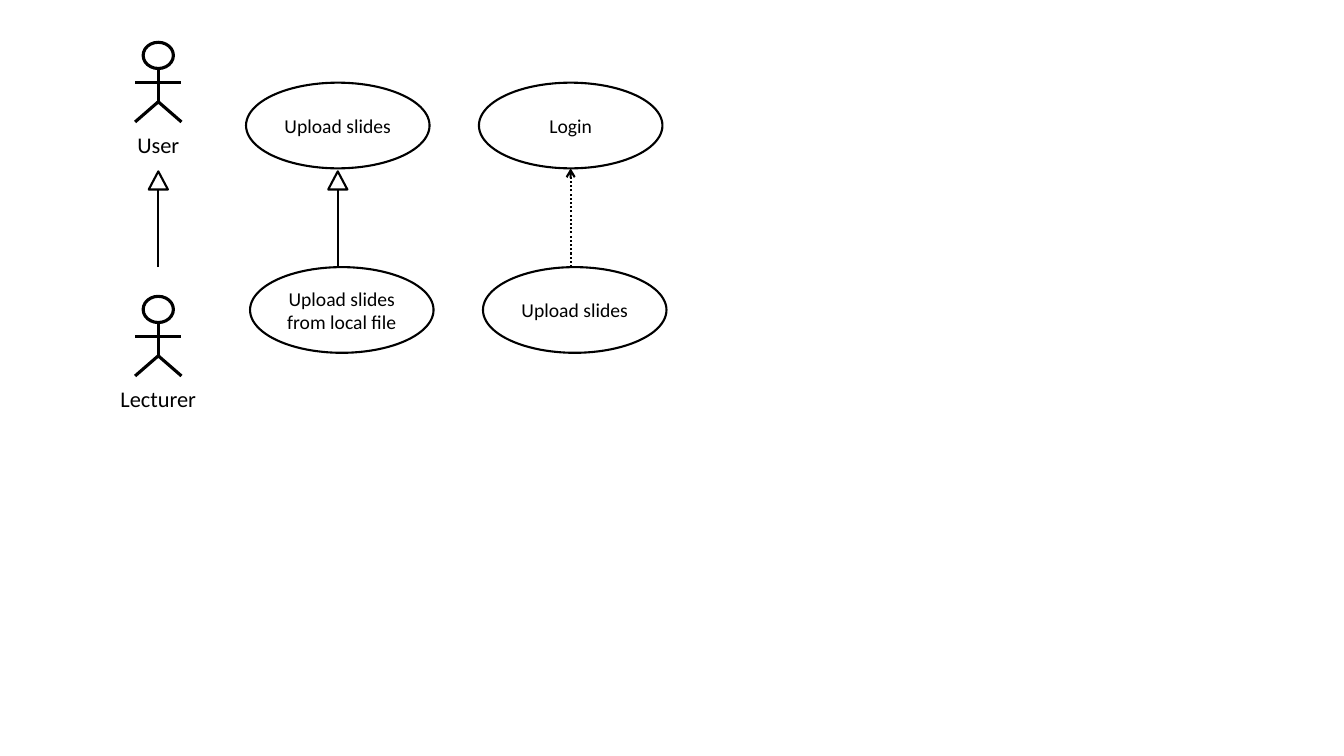
from pptx import Presentation
from pptx.dml.color import RGBColor
from pptx.enum.dml import MSO_LINE
from pptx.enum.shapes import MSO_CONNECTOR, MSO_SHAPE
from pptx.enum.text import MSO_ANCHOR, PP_ALIGN
from pptx.oxml.ns import qn
from pptx.util import Inches, Pt
from lxml.etree import SubElement

COLORS = {"ink": "000000", "paper": "FFFFFF"}
INK = RGBColor.from_string(COLORS["ink"])
PAPER = RGBColor.from_string(COLORS["paper"])

ACTOR_X, USE_CASE_X, INCLUDE_X = 1.57, 3.35, 5.66
GENERAL_ROW, SPECIAL_ROW = 0.42, 2.94
GENERAL_CASE_TOP, SPECIAL_CASE_TOP = 0.82, 2.65
CASE_WIDTH, CASE_HEIGHT = 1.82, 0.85
CASE_SHIFT = 0.04
HEAD_WIDTH, HEAD_HEIGHT = 0.3, 0.26
ARM_REACH = 0.23
LABEL_WIDTH, LABEL_HEIGHT = 1.37, 0.37
TIP_TOP, TIP_WIDTH, TIP_HEIGHT = 1.7, 0.19, 0.18

prs = Presentation()
prs.slide_width, prs.slide_height = Inches(13.33), Inches(7.5)
slide = prs.slides.add_slide(prs.slide_layouts[6])


def add_stroke(shapes, x1, y1, x2, y2, weight):
    stroke = shapes.add_connector(
        MSO_CONNECTOR.STRAIGHT, Inches(x1), Inches(y1), Inches(x2), Inches(y2))
    stroke.line.color.rgb = INK
    stroke.line.width = Pt(weight)
    SubElement(stroke.line._get_or_add_ln().getparent(), qn("a:effectLst"))
    return stroke


def add_outline(shapes, preset, center, top, width, height, weight):
    outline = shapes.add_shape(
        preset, Inches(center - width / 2), Inches(top), Inches(width), Inches(height))
    outline.shadow.inherit = False
    outline.fill.background()
    outline.line.color.rgb = INK
    outline.line.width = Pt(weight)
    return outline


for role, top in [("Lecturer", SPECIAL_ROW), ("User", GENERAL_ROW)]:
    figure = slide.shapes.add_group_shape().shapes
    add_outline(figure, MSO_SHAPE.OVAL, ACTOR_X, top, HEAD_WIDTH, HEAD_HEIGHT, 2.25)
    neck, arms, hip, feet = top + HEAD_HEIGHT, top + 0.4, top + 0.59, top + 0.79
    left_hand, right_hand = ACTOR_X - ARM_REACH, ACTOR_X + ARM_REACH
    for limb in [(ACTOR_X, neck, ACTOR_X, hip), (left_hand, arms, right_hand, arms),
                 (ACTOR_X, hip, left_hand, feet), (ACTOR_X, hip, right_hand, feet)]:
        add_stroke(figure, *limb, 2.25)

    label = slide.shapes.add_textbox(
        Inches(ACTOR_X - LABEL_WIDTH / 2), Inches(top + 0.83),
        Inches(LABEL_WIDTH), Inches(LABEL_HEIGHT))
    label.text_frame.word_wrap = True
    caption = label.text_frame.paragraphs[0]
    caption.text = role
    caption.alignment = PP_ALIGN.CENTER
    caption.font.name, caption.font.size = "Calibri", Pt(16)
    caption.font.color.rgb = INK

for title, center, top in [
    ("Upload slides", USE_CASE_X, GENERAL_CASE_TOP),
    ("Upload slides from local file", USE_CASE_X + CASE_SHIFT, SPECIAL_CASE_TOP),
    ("Login", INCLUDE_X, GENERAL_CASE_TOP),
    ("Upload slides", INCLUDE_X + CASE_SHIFT, SPECIAL_CASE_TOP),
]:
    use_case = add_outline(
        slide.shapes, MSO_SHAPE.OVAL, center, top, CASE_WIDTH, CASE_HEIGHT, 1.5)
    use_case.text_frame.word_wrap = True
    use_case.text_frame.vertical_anchor = MSO_ANCHOR.MIDDLE
    name = use_case.text_frame.paragraphs[0]
    name.text = title
    name.alignment = PP_ALIGN.CENTER
    name.font.name, name.font.size = "Calibri", Pt(14)
    name.font.color.rgb = INK

for center in (ACTOR_X, USE_CASE_X):
    add_stroke(slide.shapes, center, SPECIAL_CASE_TOP, center, TIP_TOP + TIP_HEIGHT / 2, 1.5)
    tip = add_outline(
        slide.shapes, MSO_SHAPE.ISOSCELES_TRIANGLE, center, TIP_TOP, TIP_WIDTH, TIP_HEIGHT, 1.5)
    tip.fill.solid()
    tip.fill.fore_color.rgb = PAPER

include = add_stroke(
    slide.shapes, INCLUDE_X, SPECIAL_CASE_TOP, INCLUDE_X, GENERAL_CASE_TOP + CASE_HEIGHT, 1.5)
include.line.dash_style = MSO_LINE.ROUND_DOT
SubElement(include.line._get_or_add_ln(), qn("a:tailEnd"), type="arrow")

prs.save("out.pptx")
